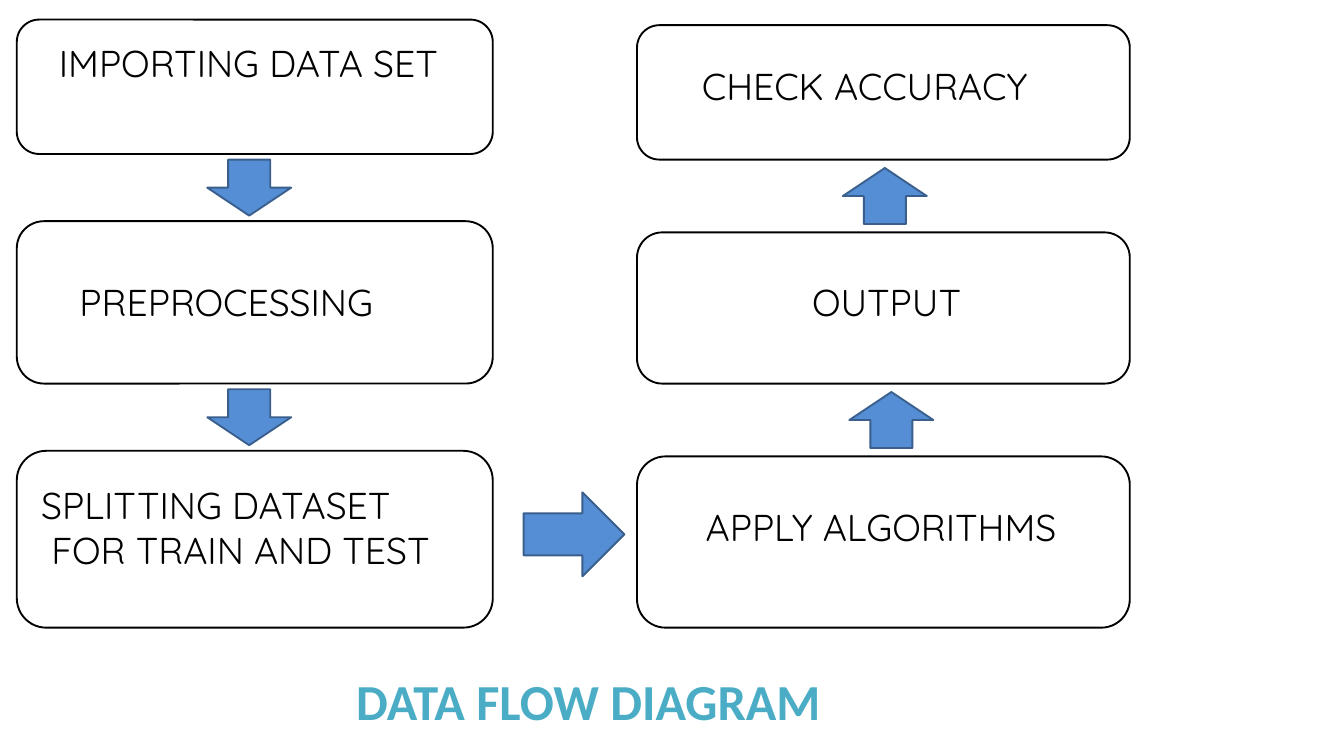
import pptx
import pptx.util
import pptx.dml.color
import pptx.enum.shapes
import pptx.enum.text

Pt = pptx.util.Pt
Shapes = pptx.enum.shapes.MSO_SHAPE

# Content, all lengths in points
TITLE = "DATA FLOW DIAGRAM"
TITLE_FRAME = (372, 713.5, 517, 73)

# Each column: left, width, then steps as (box top, box height, label left, top, width, lines)
COLUMNS = [
    (18, 510, [
        (21, 144, 56, 39, 436, ["IMPORTING DATA SET"]),
        (237, 174, 78, 296, 378, ["PREPROCESSING"]),
        (483, 189.5, 37, 513, 461, ["SPLITTING DATASET", " FOR TRAIN AND TEST"]),
    ]),
    (682.5, 528, [
        (27, 144, 745, 64, 402, ["CHECK ACCURACY"]),
        (249, 162, 863, 296, 185, ["OUTPUT"]),
        (489, 183.5, 749, 537, 425, ["APPLY ALGORITHMS"]),
    ]),
]

# Arrows: left, top, length, rotation of a down arrow
ARROW_WIDTH = 90
ARROWS = [
    (222, 171, 60, 0),
    (222, 417, 60, 0),
    (570, 518.5, 108, 270),
    (910, 420, 60, 180),
    (903, 180, 60, 180),
]
LINE_HEIGHT, LABEL_PADDING = 50, 7.2


def color(hex_string):
    return pptx.dml.color.RGBColor.from_string(hex_string)


def add_run(paragraph, text, font, size, hex_string, bold=False):
    run = paragraph.add_run()
    run.text = text
    run.font.name = font
    run.font.size = Pt(size)
    run.font.bold = bold
    run.font.color.rgb = color(hex_string)


def add_outlined_shape(slide, kind, frame, line, fill=None):
    shape = slide.shapes.add_shape(kind, *map(Pt, frame))
    shape.shadow.inherit = False
    shape.line.color.rgb = color(line)
    shape.line.width = Pt(2)
    if fill:
        shape.fill.solid()
        shape.fill.fore_color.rgb = color(fill)
    else:
        shape.fill.background()
    return shape


def add_label(slide, left, top, width, lines):
    height = LINE_HEIGHT * len(lines) + LABEL_PADDING
    text_frame = slide.shapes.add_textbox(*map(Pt, (left, top, width, height))).text_frame
    text_frame.word_wrap = True
    for index, line in enumerate(lines):
        paragraph = text_frame.add_paragraph() if index else text_frame.paragraphs[0]
        add_run(paragraph, line, "Quicksand", 40, "000000")


def main():
    presentation = pptx.Presentation()
    presentation.slide_width, presentation.slide_height = Pt(1440), Pt(810)
    slide = presentation.slides.add_slide(presentation.slide_layouts[5])

    # Title below the diagram
    title = slide.shapes.title
    title.left, title.top, title.width, title.height = map(Pt, TITLE_FRAME)
    title.text_frame.word_wrap = False
    title.text_frame.auto_size = pptx.enum.text.MSO_AUTO_SIZE.NONE
    paragraph = title.text_frame.paragraphs[0]
    paragraph.alignment = pptx.enum.text.PP_ALIGN.CENTER
    add_run(paragraph, TITLE, "Calibri", 54, "4BACC6", bold=True)

    # Steps
    for left, width, steps in COLUMNS:
        for top, height, *label in steps:
            add_outlined_shape(slide, Shapes.ROUNDED_RECTANGLE,
                               (left, top, width, height), "000000")
            add_label(slide, *label)

    # Arrows between steps
    for left, top, length, rotation in ARROWS:
        arrow = add_outlined_shape(slide, Shapes.DOWN_ARROW,
                                   (left, top, ARROW_WIDTH, length), "3A5F8C", "558ED5")
        arrow.rotation = rotation

    presentation.save("out.pptx")


if __name__ == "__main__":
    main()
